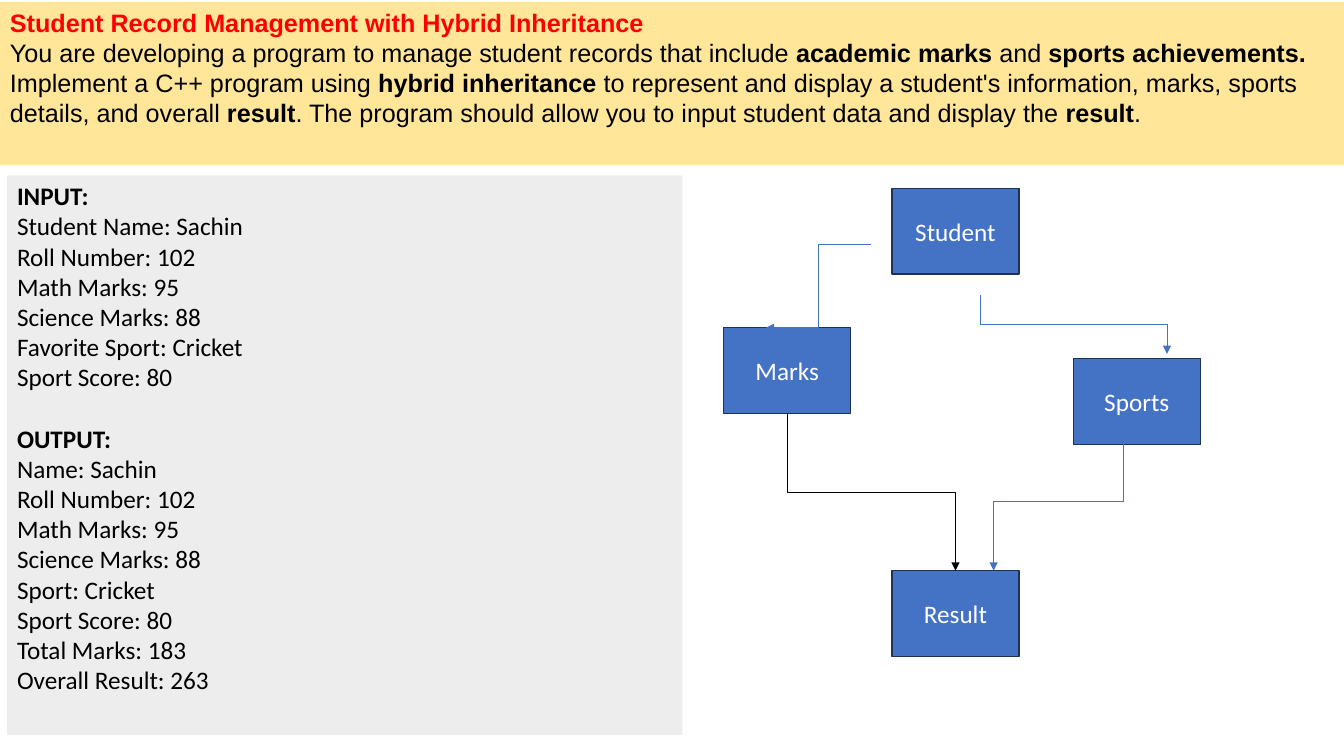
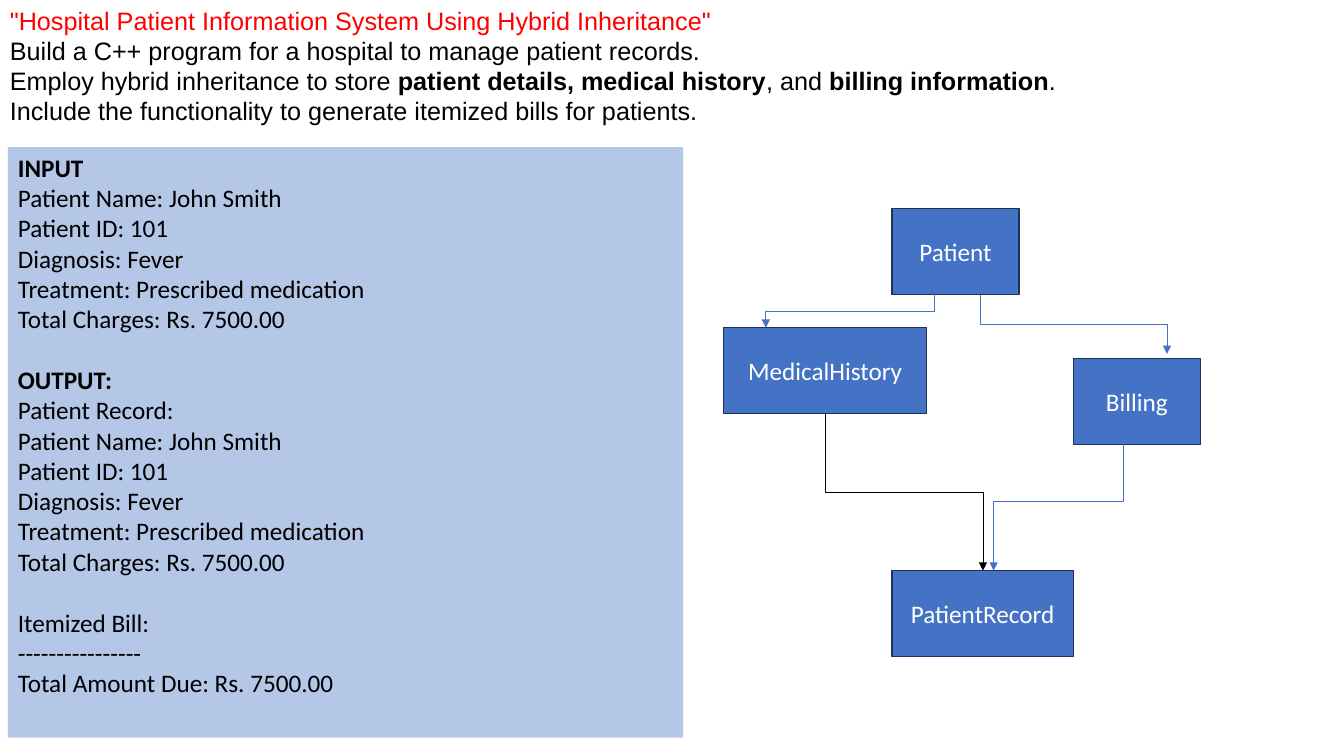
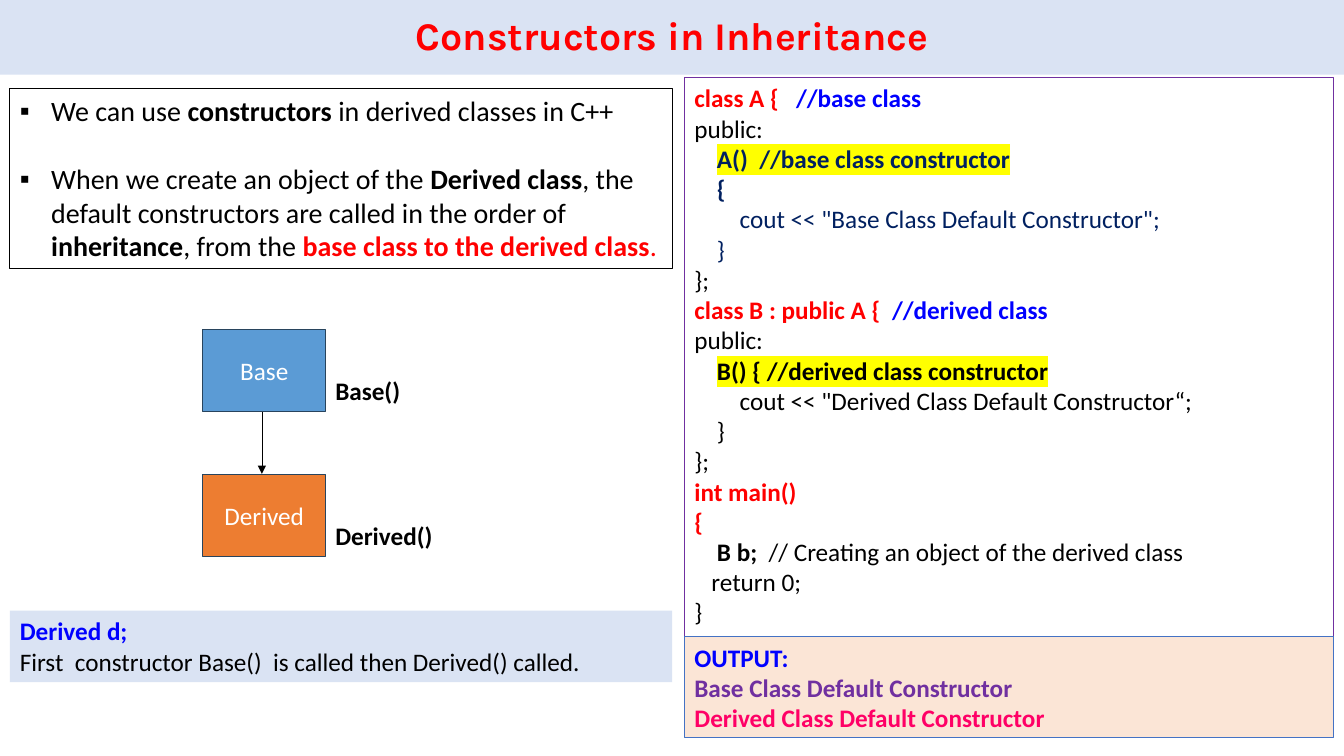
from dataclasses import dataclass

from lxml import etree
from pptx import Presentation
from pptx.dml.color import RGBColor
from pptx.enum import shapes as kinds, text as txt
from pptx.oxml import ns
from pptx.util import Cm, Pt

BLACK = RGBColor(0x00, 0x00, 0x00)
WHITE = RGBColor(0xFF, 0xFF, 0xFF)
RED = RGBColor(0xFF, 0x00, 0x00)
BLUE = RGBColor(0x00, 0x00, 0xFF)
NAVY = RGBColor(0x00, 0x20, 0x60)
PURPLE = RGBColor(0x70, 0x30, 0xA0)
PINK = RGBColor(0xFF, 0x00, 0x66)
SAND = RGBColor(0xFF, 0xE6, 0x99)
GREY = RGBColor(0xED, 0xED, 0xED)
MIST = RGBColor(0xB4, 0xC7, 0xE7)
PALE = RGBColor(0xDA, 0xE3, 0xF3)
PEACH = RGBColor(0xFB, 0xE5, 0xD6)
CLASS_BLUE = RGBColor(0x44, 0x72, 0xC4)
CLASS_EDGE = RGBColor(0x1E, 0x32, 0x56)
BASE_BLUE = RGBColor(0x5B, 0x9B, 0xD5)
DERIVED_ORANGE = RGBColor(0xED, 0x7D, 0x31)
PAIR_EDGE = RGBColor(0x28, 0x44, 0x5D)
MARKER = "FFFF00"

SLIDE_W, SLIDE_H = 33.87, 19.05
CLASS_W, CLASS_H = 3.2, 2.16
PANEL_W = 17.02
LINE_GAP = 22  # points, one line of 18 pt text
BODY = {"name": "Calibri", "size": Pt(18)}
PROBLEM = BODY | {"name": "Arial"}
BULLET = BODY | {"size": Pt(20)}
TITLE = {"name": "Karla", "size": Pt(28)}
CENTERED = {"align": txt.PP_ALIGN.CENTER, "anchor": txt.MSO_ANCHOR.MIDDLE}


@dataclass
class Line:
    """One paragraph: (text, colour) runs, with **bold** parts in the text."""
    runs: list
    before: float = 0
    stops: tuple = ()
    bullet: bool = False
    marked: bool = False
    spacing: float = 1.0


def line(text, color=BLACK, **options):
    return Line([(text, color)], **options)


def add_xml(parent, tag, **attributes):
    return etree.SubElement(parent, ns.qn(tag), attributes)


def add_run(paragraph, text, color, bold, font, marked):
    run = paragraph.add_run()
    run.text = text
    for name, value in (font | {"bold": bold}).items():
        setattr(run.font, name, value)
    run.font.color.rgb = color
    if marked:
        props = run._r.get_or_add_rPr()
        highlight = add_xml(props, "a:highlight")
        add_xml(highlight, "a:srgbClr", val=MARKER)
        props.find(ns.qn("a:solidFill")).addnext(highlight)


def write(shape, lines, font, align=txt.PP_ALIGN.LEFT,
          anchor=txt.MSO_ANCHOR.TOP, wrap=True):
    frame = shape.text_frame
    frame.word_wrap = wrap
    frame.vertical_anchor = anchor
    for index, entry in enumerate(lines):
        paragraph = frame.add_paragraph() if index else frame.paragraphs[0]
        layout = {"alignment": align, "line_spacing": entry.spacing,
                  "space_before": Pt(entry.before)}
        for name, value in layout.items():
            setattr(paragraph, name, value)
        props = paragraph._p.get_or_add_pPr()
        if entry.bullet:
            props.set("marL", str(Cm(0.79)))
            props.set("indent", str(-Cm(0.79)))
            add_xml(props, "a:buFont", typeface="Arial")
            add_xml(props, "a:buChar", char="▪")
        if entry.stops:
            tabs = add_xml(props, "a:tabLst")
            for stop in entry.stops:
                add_xml(tabs, "a:tab", pos=str(Cm(stop)), algn="l")
        for text, color in entry.runs:
            for part, piece in enumerate(text.split("**")):
                if piece:
                    add_run(paragraph, piece, color, part % 2 == 1, font,
                            entry.marked)


def add_panel(slide, box, lines, fill=None, edge=None, edge_width=0.75,
              font=BODY, **layout):
    panel = slide.shapes.add_shape(kinds.MSO_SHAPE.RECTANGLE, *map(Cm, box))
    panel.shadow.inherit = False
    if fill is None:
        panel.fill.background()
    else:
        panel.fill.solid()
        panel.fill.fore_color.rgb = fill
    if edge is None:
        panel.line.fill.background()
    else:
        panel.line.color.rgb = edge
        panel.line.width = Pt(edge_width)
    write(panel, lines, font, **layout)


def add_class(slide, name, left, top, width=CLASS_W, height=CLASS_H,
              fill=CLASS_BLUE, edge=CLASS_EDGE):
    add_panel(slide, (left, top, width, height), [line(name, WHITE)], fill,
              edge, 1, **CENTERED)


def add_text(slide, box, lines, font=BODY, **layout):
    write(slide.shapes.add_textbox(*map(Cm, box)), lines, font, **layout)


def add_arrow(slide, start, end, color=CLASS_BLUE,
              kind=kinds.MSO_CONNECTOR.ELBOW):
    ends = [Cm(value) for value in (*start, *end)]
    arrow = slide.shapes.add_connector(kind, *ends)
    arrow.line.color.rgb = color
    arrow.line.width = Pt(0.5)
    add_xml(arrow.line._get_or_add_ln(), "a:tailEnd", type="triangle")
    add_xml(arrow._element.spPr, "a:effectLst")
    return arrow


def add_drop(slide, start, end, color=CLASS_BLUE):
    """Elbow arrow that leaves downwards: a sideways elbow, turned."""
    (x1, y1), (x2, y2) = start, end
    mid_x, mid_y = (x1 + x2) / 2, (y1 + y2) / 2
    half_w, half_h = (y2 - y1) / 2, abs(x2 - x1) / 2
    side, turn = (1, 270) if x2 > x1 else (-1, 90)
    arrow = add_arrow(slide, (mid_x + side * half_w, mid_y - half_h),
                      (mid_x - side * half_w, mid_y + half_h), color)
    arrow._element.spPr.find(ns.qn("a:xfrm")).set("rot", str(turn * 60000))


def listing(*blocks):
    """Lines of several blocks, with a gap of one line between blocks."""
    return [line(text, before=LINE_GAP if number and not row else 0)
            for number, block in enumerate(blocks)
            for row, text in enumerate(block)]


def add_diamond(slide, top, left, right, bottom, left_arrow_end):
    """Arrows and boxes shared by both hybrid inheritance diagrams.

    Each class is (name, x, y, optional width).
    """
    for item in (top, left, right, bottom):
        add_class(slide, *item)
    add_drop(slide, (24.71, 7.44), (29.41, 8.92))
    left_width = left[3] if len(left) > 3 else CLASS_W
    add_drop(slide, (left[1] + left_width / 2, left[2] + CLASS_H),
             left_arrow_end, BLACK)
    add_drop(slide, (28.32, 10.9), (25.04, 14.38))


def build_student(slide):
    add_panel(slide, (0, 0.05, SLIDE_W, 4.11), [
        line("**Student Record Management with Hybrid Inheritance**", RED),
        line("You are developing a program to manage student records that "
             "include **academic marks **and **sports achievements. **"
             "Implement a C++ program using **hybrid inheritance** to "
             "represent and display a student's information, marks, sports "
             "details, and overall **result**. The program should allow you "
             "to input student data and display the **result**."),
    ], SAND, font=PROBLEM)
    marks = ["Roll Number: 102", "Math Marks: 95", "Science Marks: 88"]
    add_panel(slide, (0.18, 4.42, PANEL_W, 14.1), listing(
        ["**INPUT:**", "Student Name: Sachin", *marks,
         "Favorite Sport: Cricket", "Sport Score: 80"],
        ["**OUTPUT:**", "Name: Sachin", *marks, "Sport: Cricket",
         "Sport Score: 80", "Total Marks: 183", "Overall Result: 263"],
    ), GREY)
    add_diamond(slide, ("Student", 22.48, 4.75), ("Marks", 18.24, 8.26),
                ("Sports", 27.05, 9.04), ("Result", 22.48, 14.38),
                (24.08, 14.38))
    add_arrow(slide, (21.95, 6.17), (19.3, 8.26))


def build_patient(slide):
    add_text(slide, (0, 0, SLIDE_W, 3.33), [
        line('"Hospital Patient Information System Using Hybrid Inheritance"',
             RED),
        line("Build a C++ program for a hospital to manage patient records."),
        line("Employ hybrid inheritance to store **patient details, medical "
             "history**, and **billing information**."),
        line("Include the functionality to generate itemized bills for "
             "patients."),
    ], PROBLEM)
    record = ["Patient Name: John Smith", "Patient ID: 101",
              "Diagnosis: Fever", "Treatment: Prescribed medication",
              "Total Charges: Rs. 7500.00"]
    add_panel(slide, (0.2, 3.71, PANEL_W, 14.88), listing(
        ["**INPUT**", *record],
        ["**OUTPUT:**", "Patient Record:", *record],
        ["Itemized Bill:", "-" * 16, "Total Amount Due: Rs. 7500.00"],
    ), MIST)
    add_diamond(slide, ("Patient", 22.48, 5.26),
                ("MedicalHistory", 18.24, 8.26, 5.11),
                ("Billing", 27.05, 9.04),
                ("PatientRecord", 22.48, 14.38, 4.57), (24.77, 14.38))
    add_drop(slide, (23.55, 7.42), (19.3, 8.26))


def code(text, color=BLACK, stops=(0.57, 1.14), **options):
    return line(text, color, stops=stops, **options)


def build_constructors(slide):
    add_panel(slide, (0, 0, SLIDE_W, 1.88),
              [line("**Constructors in Inheritance**", RED, spacing=0.9)],
              PALE, font=TITLE, **CENTERED)
    add_panel(slide, (0.25, 2.24, 16.69, 4.52), [
        line("We can use **constructors** in derived classes in C++",
             bullet=True),
        Line([("When we create an object of the **Derived class**, the "
               "default constructors are called in the order of "
               "**inheritance**, from the ", BLACK),
              ("**base class to the derived class**.", RED)],
             before=24.4, bullet=True),
    ], edge=BLACK, font=BULLET)
    add_panel(slide, (17.25, 1.96, 16.36, 14.1), [
        Line([("**class A {   **", RED), ("**//base class**", BLUE)]),
        code("public:"),
        code("\t**A()  //base class constructor**", NAVY, marked=True),
        code("\t**{**", NAVY),
        Line([('\t\tcout << "Base Class Default Constructor"', NAVY),
              (";", NAVY)], stops=(0.57, 1.14)),
        code("\t}", NAVY),
        code("};"),
        Line([("**class B : public A {  **", RED),
              ("**//derived class**", BLUE)]),
        code("public:"),
        code("\t**B() { //derived class constructor**", marked=True),
        code('\t\tcout << "Derived Class Default Constructor“;'),
        code("\t}"),
        code("};"),
        code("**int main()**", RED),
        code("**{**", RED),
        code("\t**B b;  **// Creating an object of the derived class"),
        code("\treturn 0;", stops=(0.43,)),
        code("}"),
    ], edge=PURPLE)
    add_panel(slide, (17.25, 16.05, 16.36, 2.54), [
        line("**OUTPUT:**", BLUE),
        line("**Base Class Default Constructor**", PURPLE),
        line("**Derived Class Default Constructor**", PINK),
    ], PEACH, CLASS_BLUE)
    add_arrow(slide, (6.6, 10.31), (6.6, 11.94), BLACK,
              kinds.MSO_CONNECTOR.STRAIGHT)
    for name, top, fill in (("Base", 8.31, BASE_BLUE),
                            ("Derived", 11.96, DERIVED_ORANGE)):
        add_class(slide, name, 5.11, top, 3.1, 2.06, fill, PAIR_EDGE)
        add_text(slide, (8.2, top + 1.02, 2.97, 1.02),
                 [line(f"**{name}()**")], wrap=False)
    add_panel(slide, (0.25, 15.39, 16.69, 1.8), [
        line("**Derived d;**", BLUE),
        line("First  constructor Base()  is called then Derived() called."),
    ], PALE)


def main():
    deck = Presentation()
    deck.slide_width, deck.slide_height = Cm(SLIDE_W), Cm(SLIDE_H)
    for build in (build_student, build_patient, build_constructors):
        build(deck.slides.add_slide(deck.slide_layouts[6]))
    deck.save("out.pptx")


if __name__ == "__main__":
    main()
